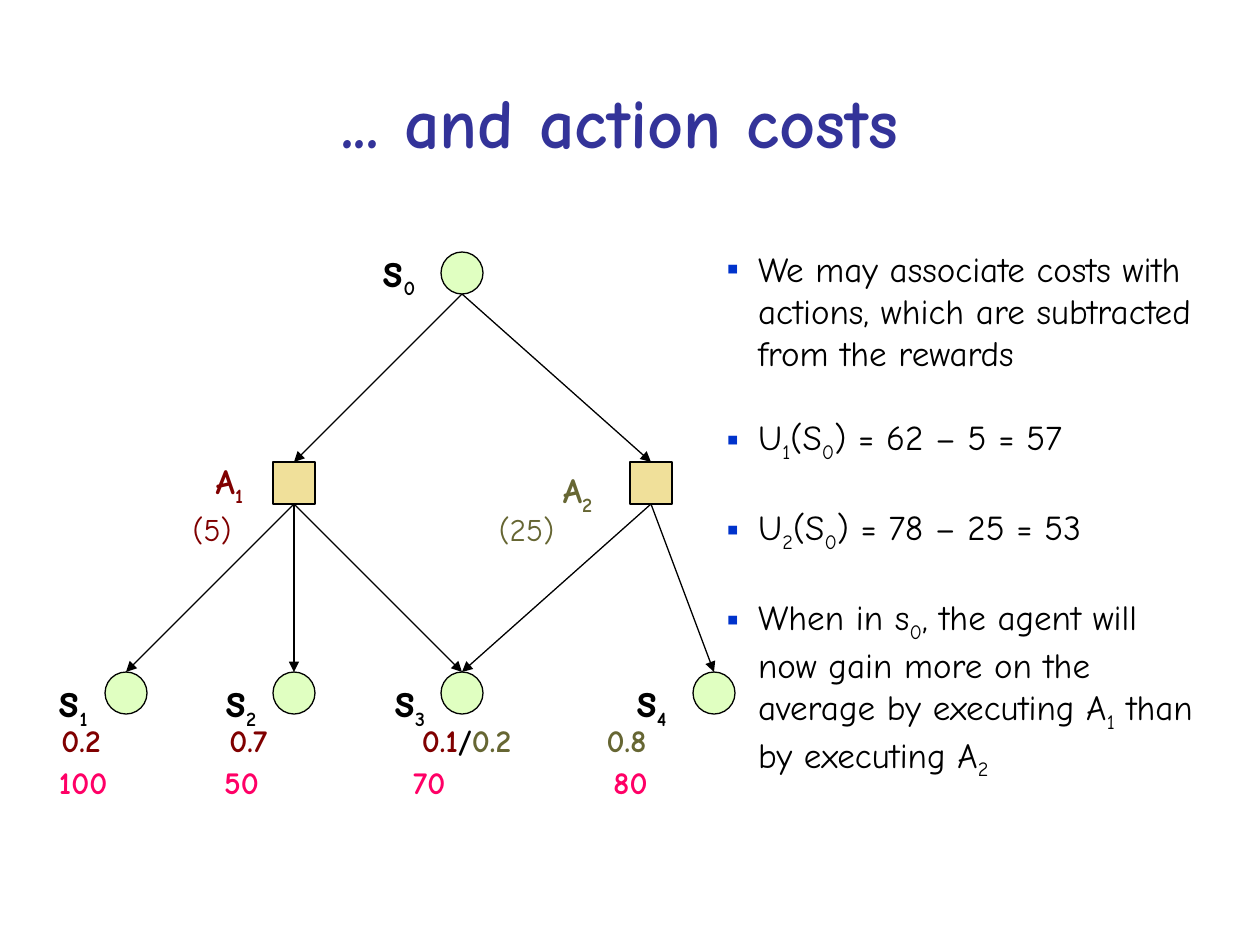
from lxml.etree import SubElement
from pptx import Presentation
from pptx.dml.color import RGBColor
from pptx.enum.shapes import MSO_CONNECTOR, MSO_SHAPE
from pptx.enum.text import MSO_ANCHOR, MSO_AUTO_SIZE, PP_ALIGN
from pptx.oxml.ns import qn
from pptx.util import Pt

BLACK = RGBColor(0x00, 0x00, 0x00)
NAVY = RGBColor(0x33, 0x33, 0x99)
BLUE = RGBColor(0x00, 0x33, 0xCC)
MAROON = RGBColor(0x80, 0x00, 0x00)
OLIVE = RGBColor(0x66, 0x66, 0x33)
PINK = RGBColor(0xFF, 0x00, 0x66)
GREEN = RGBColor(0xE0, 0xFF, 0xC1)
SAND = RGBColor(0xF0, 0xE0, 0x9A)

FONT = "Comic Neue"
NODE = 24
STATE_TOP, ACTION_TOP, OUTCOME_TOP = 144, 264, 384

# node left, label left, name, and then left, width and runs of the
# probability, and left, width and text of the reward
OUTCOMES = [
    (60, 26.6, "s_1", (28, 38, [("0.2", MAROON)]), (26.6, 43, "100")),
    (156, 121.7, "s_2", (124, 38, [("0.7", MAROON)]), (121, 36, "50")),
    (252, 218.2, "s_3",
     (234, 68, [("0.1", MAROON), ("/", BLACK), ("0.2", OLIVE)]),
     (229, 36, "70")),
    (396, 356.4, "s_4", (339.5, 38, [("0.8", OLIVE)]), (343.5, 36, "80")),
]

# node left, name, label left and top, cost, cost left and width, colour,
# and the outcomes that the action leads to
ACTIONS = [
    (156, "A_1", (116.2, 259.2), "(5)", (103, 38), MAROON, (0, 1, 2)),
    (360, "A_2", (314.6, 264.2), "(25)", (278, 47), OLIVE, (2, 3)),
]

POINTS = [
    "We may associate costs with actions, which are subtracted from the rewards",
    "U_1(S_0) = 62 – 5 = 57",
    "U_2(S_0) = 78 – 25 = 53",
    "When in s_0, the agent will now gain more on the average by executing A_1 "
    "than by executing A_2",
]


def place(shape, left, top, width, height):
    box = {"left": left, "top": top, "width": width, "height": height}
    for side, length in box.items():
        setattr(shape, side, Pt(length))


def add_run(paragraph, text, size, color, bold):
    run = paragraph.add_run()
    run.text = text
    style = {"name": FONT, "size": Pt(size), "bold": bold}
    for attribute, value in style.items():
        setattr(run.font, attribute, value)
    run.font.color.rgb = color
    return run


def add_subscripted(paragraph, text, size, color, bold=False, sub_size=20):
    """Write text in which the character after each underscore is lowered."""
    first, *rest = text.split("_")
    add_run(paragraph, first, size, color, bold)
    for part in rest:
        lowered = add_run(paragraph, part[0], sub_size, color, bold)
        lowered._r.get_or_add_rPr().set("baseline", "-25000")
        if part[1:]:
            add_run(paragraph, part[1:], size, color, bold)


def add_label(slide, left, top, width, height):
    """Add an unwrapped text box and return its empty paragraph."""
    label = slide.shapes.add_textbox(Pt(left), Pt(top), Pt(width), Pt(height))
    label.text_frame.word_wrap = False
    label.text_frame.auto_size = MSO_AUTO_SIZE.SHAPE_TO_FIT_TEXT
    return label.text_frame.paragraphs[0]


def add_state_name(slide, left, top, name):
    add_subscripted(add_label(slide, left, top, 35, 42.5), name, 28, BLACK, True)


def add_node(slide, preset, left, top, color):
    node = slide.shapes.add_shape(preset, Pt(left), Pt(top), Pt(NODE), Pt(NODE))
    node.shadow.inherit = False
    node.fill.solid()
    node.fill.fore_color.rgb = color
    node.line.color.rgb = BLACK
    node.line.width = Pt(0.75)
    return node


def add_arrow(slide, source, target):
    """Draw an arrow from the bottom of source to the top of target."""
    arrow = slide.shapes.add_connector(
        MSO_CONNECTOR.STRAIGHT,
        source.left + source.width // 2, source.top + source.height,
        target.left + target.width // 2, target.top)
    if source.auto_shape_type == MSO_SHAPE.RECTANGLE:
        arrow.begin_connect(source, 2)
    else:
        arrow.end_connect(target, 0)
    arrow.line.color.rgb = BLACK
    arrow.line.width = Pt(0.75)
    properties = arrow._element.spPr
    SubElement(properties.find(qn("a:ln")), qn("a:tailEnd"), type="triangle")
    SubElement(properties, qn("a:effectLst"))


def add_outcome(slide, node_left, label_left, name, chance, reward):
    node = add_node(slide, MSO_SHAPE.OVAL, node_left, OUTCOME_TOP, GREEN)
    add_state_name(slide, label_left, 378.7, name)
    left, width, parts = chance
    paragraph = add_label(slide, left, 408.3, width, 29)
    for text, color in parts:
        add_run(paragraph, text, 18, color, True)
    left, width, text = reward
    add_run(add_label(slide, left, 432.5, width, 29), text, 18, PINK, True)
    return node


def add_action(slide, node_left, name, name_at, cost, cost_span, color):
    node = add_node(slide, MSO_SHAPE.RECTANGLE, node_left, ACTION_TOP, SAND)
    add_subscripted(add_label(slide, *name_at, 33, 34.5), name, 20, color, True)
    cost_left, cost_width = cost_span
    paragraph = add_label(slide, cost_left, 288, cost_width, 29)
    add_run(paragraph, cost, 18, color, False)
    return node


def add_decision_tree(slide):
    start = add_node(slide, MSO_SHAPE.OVAL, 252, STATE_TOP, GREEN)
    add_state_name(slide, 211.7, 132.5, "s_0")
    outcomes = [add_outcome(slide, *outcome) for outcome in OUTCOMES]
    for *details, targets in ACTIONS:
        action = add_action(slide, *details)
        add_arrow(slide, start, action)
        for target in targets:
            add_arrow(slide, action, outcomes[target])


def set_title(title, text):
    place(title, 30, 24, 648, 90)
    title.text_frame.vertical_anchor = MSO_ANCHOR.MIDDLE
    paragraph = title.text_frame.paragraphs[0]
    paragraph.alignment = PP_ALIGN.CENTER
    add_run(paragraph, text, 40, NAVY, True)


def add_bullet(paragraph):
    properties = paragraph._p.get_or_add_pPr()
    properties.set("marL", str(Pt(18)))
    properties.set("indent", str(-Pt(18)))
    color = SubElement(properties, qn("a:buClr"))
    SubElement(color, qn("a:srgbClr"), val=str(BLUE))
    SubElement(properties, qn("a:buChar"), char="▪")


def set_points(body):
    place(body, 408, 138, 288, 312)
    frame = body.text_frame
    frame.auto_size = MSO_AUTO_SIZE.NONE
    frame.vertical_anchor = MSO_ANCHOR.TOP
    for index, point in enumerate(POINTS):
        paragraph = frame.add_paragraph() if index else frame.paragraphs[0]
        add_bullet(paragraph)
        paragraph.space_before = Pt(24 if index else 0)
        add_subscripted(paragraph, point, 20, BLACK)


def main():
    presentation = Presentation()
    presentation.slide_width = Pt(720)
    presentation.slide_height = Pt(540)
    slide = presentation.slides.add_slide(presentation.slide_layouts[1])
    set_title(slide.shapes.title, "... and action costs")
    set_points(slide.placeholders[1])
    add_decision_tree(slide)
    presentation.save("out.pptx")


if __name__ == "__main__":
    main()
